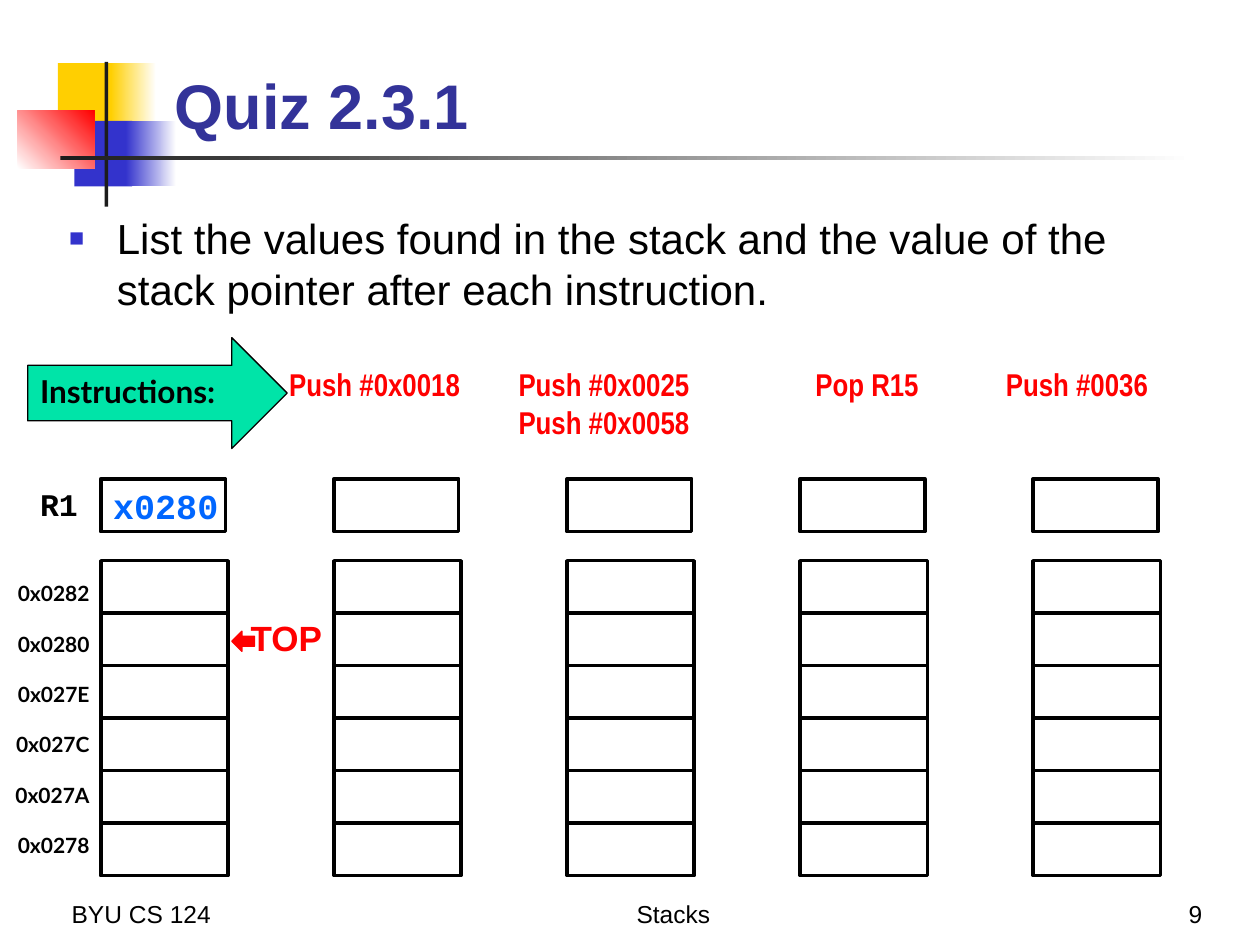
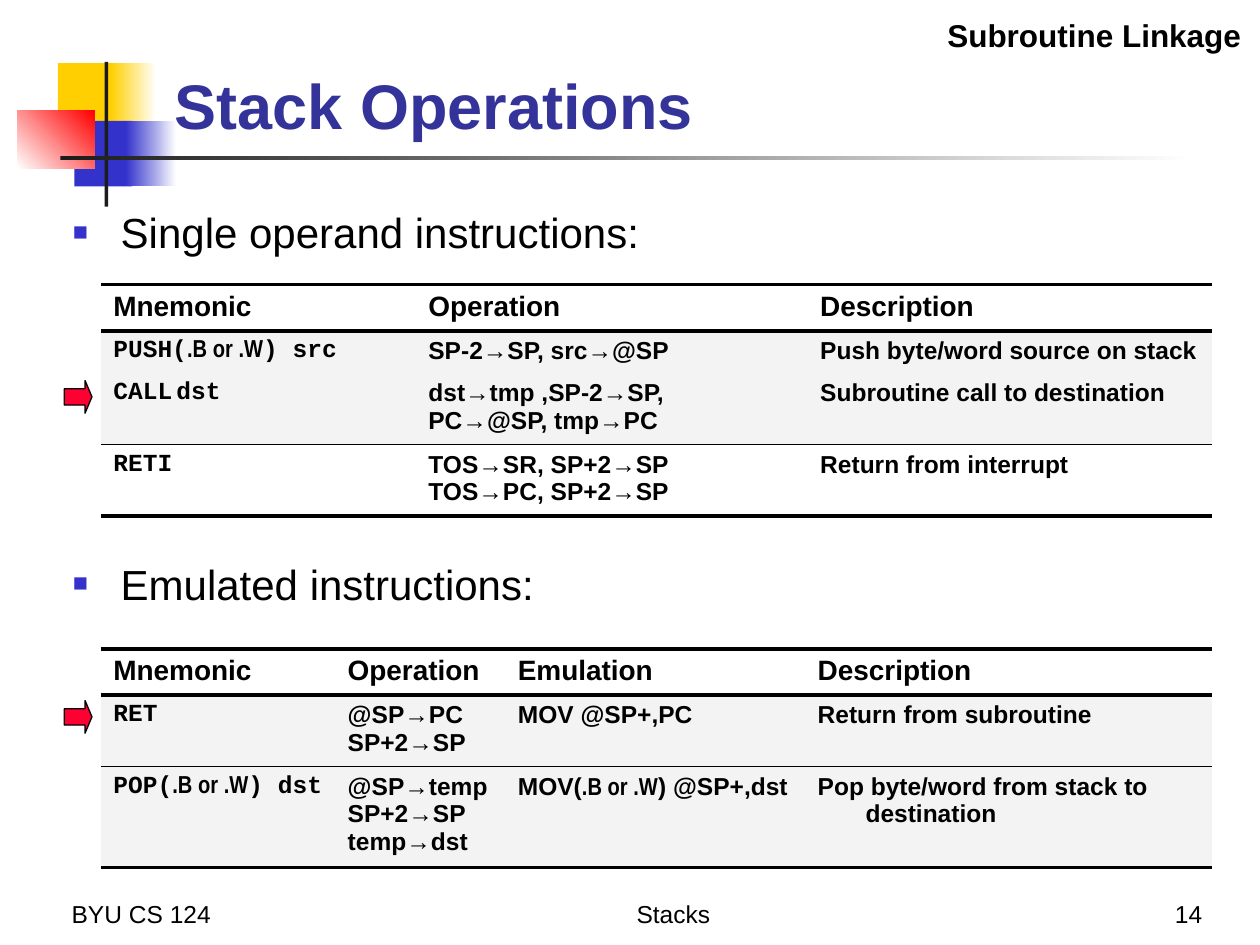
"""Build two lecture slides about stacks and stack instructions."""
from dataclasses import dataclass

from lxml.etree import SubElement
from pptx import Presentation
from pptx.dml.color import RGBColor
from pptx.enum.shapes import MSO_SHAPE as Shape
from pptx.enum.text import MSO_ANCHOR as Anchor, PP_ALIGN as Align
from pptx.oxml import parse_xml
from pptx.oxml.ns import nsdecls, qn
from pptx.util import Inches, Pt


@dataclass(frozen=True)
class Theme:
    sans: str = "Arial"
    narrow: str = "Arial Narrow"
    mono: str = "Courier New"
    label: str = "Lato"
    black: str = "000000"
    white: str = "FFFFFF"
    ink: str = "1C1C1C"
    title: str = "333399"
    blue: str = "3333CC"
    yellow: str = "FFCF01"
    red: str = "FF0000"
    pointer: str = "FF0033"
    value: str = "0066FF"
    green: str = "00E4A8"
    shade: str = "F3F3F3"
    title_size: int = 36
    body_size: int = 24
    value_size: int = 20
    label_size: int = 18
    header_size: int = 16
    small_size: int = 14
    address_size: int = 12


THEME = Theme()
SIZE_OPTION = ".B or .W"
HANG = 0.38


def rgb(color):
    return RGBColor.from_string(color)


def write(frame, text, size=THEME.label_size, font=THEME.sans, color=THEME.black,
          bold=False, align=Align.LEFT, gap=0, hang=0, bullet=False, tab=None):
    for index, line in enumerate(text.split("\n")):
        paragraph = frame.add_paragraph() if index else frame.paragraphs[0]
        paragraph.alignment = align
        if index and gap:
            paragraph.space_before = Pt(gap)
        properties = paragraph._p.get_or_add_pPr()
        properties.set("marL", str(Inches(hang)))
        properties.set("indent", str(-Inches(hang)))
        if bullet:
            color_element = SubElement(properties, qn("a:buClr"))
            SubElement(color_element, qn("a:srgbClr"), val=THEME.blue)
            SubElement(properties, qn("a:buSzPct"), val="60000")
            SubElement(properties, qn("a:buFont"), typeface=THEME.sans)
            SubElement(properties, qn("a:buChar"), char="■")
        if tab:
            tabs = SubElement(properties, qn("a:tabLst"))
            SubElement(tabs, qn("a:tab"), pos=str(Inches(tab)), algn="l")
        for segment in filter(None, line.partition(SIZE_OPTION)):
            run = paragraph.add_run()
            run.text = segment
            run.font.name = THEME.narrow if segment == SIZE_OPTION else font
            run.font.size = Pt(size)
            run.font.bold = bold
            run.font.color.rgb = rgb(color)


class Deck:
    """Hold the presentation, its style and the current slide."""

    def __init__(self):
        self.presentation = Presentation()
        self.presentation.slide_width = Inches(10)
        self.presentation.slide_height = Inches(7.5)
        self.slide = None

    def new_slide(self, title, number):
        self.slide = self.presentation.slides.add_slide(
            self.presentation.slide_layouts[6])
        self.shape(0.46, 0.5, 0.48, 0.52, fill=THEME.yellow)
        self.gradient(0.88, 0.5, 0.36, 0.52, THEME.yellow, THEME.white)
        self.shape(0.59, 0.96, 0.46, 0.52, fill=THEME.blue)
        self.gradient(1, 0.96, 0.4, 0.52, THEME.blue, THEME.white)
        self.gradient(0.14, 0.88, 0.61, 0.46, THEME.white, THEME.red, angle=45)
        self.shape(0.83, 0.49, 0.03, 1.15, fill=THEME.ink)
        self.gradient(0.48, 1.24, 9, 0.03, THEME.ink, THEME.white)
        footers = ((0.47, 2.08, "BYU CS 124", Align.LEFT),
                   (2.78, 5.13, "Stacks", Align.CENTER),
                   (7.56, 2.08, str(number), Align.RIGHT))
        for left, width, text, align in footers:
            self.text(left, 6.92, width, 0.5, text, anchor=Anchor.BOTTOM,
                      size=THEME.small_size, align=align)
        self.text(1.29, 0.23, 8.52, 0.95, title, anchor=Anchor.BOTTOM,
                  size=THEME.title_size, color=THEME.title, bold=True)

    def shape(self, left, top, width, height, kind=Shape.RECTANGLE,
              fill=None, line=None, line_width=0.75):
        shape = self.slide.shapes.add_shape(
            kind, Inches(left), Inches(top), Inches(width), Inches(height))
        shape.shadow.inherit = False
        if fill:
            shape.fill.solid()
            shape.fill.fore_color.rgb = rgb(fill)
        else:
            shape.fill.background()
        if line:
            shape.line.color.rgb = rgb(line)
            shape.line.width = Pt(line_width)
        else:
            shape.line.fill.background()
        return shape

    def gradient(self, left, top, width, height, start, end, angle=0):
        fill = self.shape(left, top, width, height).fill
        fill.gradient()
        fill.gradient_angle = angle
        for stop, color in zip(fill.gradient_stops, (start, end)):
            stop.color.rgb = rgb(color)

    def box(self, left, top, width, height):
        return self.shape(left, top, width, height, line=THEME.black, line_width=2)

    def text(self, left, top, width, height, text, anchor=Anchor.TOP,
             wrap=True, **style):
        frame = self.slide.shapes.add_textbox(
            Inches(left), Inches(top), Inches(width), Inches(height)).text_frame
        frame.word_wrap = wrap
        frame.vertical_anchor = anchor
        write(frame, text, **style)

    def bullet(self, left, top, width, height, text):
        self.text(left, top, width, height, text, size=THEME.body_size,
                  hang=HANG, bullet=True)

    def pointer(self, top):
        arrow = self.shape(0.51, top, 0.22, 0.26, Shape.RIGHT_ARROW,
                           THEME.pointer, THEME.black)
        arrow.adjustments[1] = 0.25

    def table(self, left, top, widths, heights, rows, rules, fills):
        table = self.slide.shapes.add_table(
            len(rows), len(widths), Inches(left), Inches(top),
            Inches(sum(widths)), Inches(sum(heights))).table
        table.first_row = table.horz_banding = False
        for column, width in zip(table.columns, widths):
            column.width = Inches(width)
        for row, height in zip(table.rows, heights):
            row.height = Inches(height)
        for row, texts in enumerate(rows):
            for column, text in enumerate(texts):
                cell = table.cell(row, column)
                mono = row > 0 and column == 0
                write(cell.text_frame, text, bold=True,
                      size=THEME.small_size if row else THEME.header_size,
                      font=THEME.mono if mono else THEME.sans,
                      hang=HANG if column == len(widths) - 1 else 0,
                      tab=1.4 if "\t" in text else None)
                if fills[row]:
                    cell.fill.solid()
                    cell.fill.fore_color.rgb = rgb(fills[row])
                else:
                    cell.fill.background()
                self.borders(cell, rules[row], rules[row + 1])

    @staticmethod
    def borders(cell, top, bottom):
        properties = cell._tc.get_or_add_tcPr()
        sides = (("lnL", 0), ("lnR", 0), ("lnT", top), ("lnB", bottom))
        for index, (side, width) in enumerate(sides):
            paint = (f'<a:solidFill><a:srgbClr val="{THEME.black}"/></a:solidFill>'
                     if width else "<a:noFill/>")
            properties.insert(index, parse_xml(
                f'<a:{side} {nsdecls("a")} w="{Pt(width)}">{paint}</a:{side}>'))


def build_quiz(deck):
    deck.new_slide("Quiz 2.3.1", 9)
    deck.bullet(0.45, 1.64, 9.14, 1.2, "List the values found in the stack and "
                "the value of the stack pointer after each instruction.")

    instructions = ("Push #0x0018", "Push #0x0025\nPush #0x0058", "Pop R15", "Push #0036")
    for index, instruction in enumerate(instructions):
        deck.text(2.12 + 1.82 * index, 2.85, 1.63, 0.4, instruction,
                  font=THEME.narrow, color=THEME.red, bold=True, align=Align.RIGHT)

    addresses = ("0x0282", "0x0280", "0x027E", "0x027C", "0x027A", "0x0278")
    deck.text(-0.09, 4.56, 0.9, 2.32, "\n".join(addresses), font=THEME.label,
              size=THEME.address_size, bold=True, align=Align.RIGHT, gap=14.4)

    cell_height = 2.5 / len(addresses)
    registers = []
    for stack in range(len(instructions) + 1):
        left = 0.8 + 1.85 * stack
        registers.append(deck.box(left, 3.8, 0.99, 0.42))
        for row in range(len(addresses)):
            deck.box(left, 4.45 + cell_height * row, 1.01, cell_height)

    frame = registers[0].text_frame
    frame.word_wrap = False
    frame.vertical_anchor = Anchor.MIDDLE
    write(frame, "x0280", size=THEME.value_size, font=THEME.mono,
          color=THEME.value, bold=True)
    deck.text(0.22, 3.8, 0.5, 0.4, "R1", wrap=False, font=THEME.mono, bold=True)
    deck.text(1.89, 4.84, 0.77, 0.44, "TOP", wrap=False,
              size=THEME.value_size, color=THEME.red, bold=True)
    deck.shape(1.84, 5.01, 0.18, 0.16, Shape.LEFT_ARROW, THEME.red, THEME.red)
    deck.shape(0.22, 2.68, 2.06, 0.88, Shape.RIGHT_ARROW, THEME.green, THEME.black)
    deck.text(0.22, 2.9, 2.06, 0.4, "Instructions:", font=THEME.label, bold=True)


def build_operations(deck):
    deck.new_slide("Stack Operations", 14)
    deck.bullet(0.48, 1.59, 8.45, 0.5, "Single operand instructions:")
    deck.bullet(0.48, 4.38, 8.45, 0.5, "Emulated instructions:")

    single_operand = (
        ("Mnemonic", "Operation", "Description"),
        ("PUSH(.B or .W) src", "SP-2→SP, src→@SP", "Push byte/word source on stack"),
        ("CALL\tdst", "dst→tmp ,SP-2→SP,\nPC→@SP, tmp→PC",
         "Subroutine call to destination"),
        ("RETI", "TOS→SR, SP+2→SP\nTOS→PC, SP+2→SP", "Return from interrupt"))
    deck.table(0.8, 2.26, (2.5, 3.11, 3.21), (0.35, 0.32, 0.54, 0.54),
               single_operand, rules=(2, 2, 0, 1, 2),
               fills=(None, THEME.shade, THEME.shade, THEME.white))
    deck.pointer(3.02)

    emulated = (
        ("Mnemonic", "Operation", "Emulation", "Description"),
        ("RET", "@SP→PC\nSP+2→SP", "MOV @SP+,PC", "Return from subroutine"),
        ("POP(.B or .W) dst", "@SP→temp\nSP+2→SP\ntemp→dst",
         "MOV(.B or .W) @SP+,dst", "Pop byte/word from stack to destination"))
    deck.table(0.8, 5.15, (1.86, 1.35, 2.38, 3.23), (0.35, 0.55, 0.76),
               emulated, rules=(2.25, 2.25, 1, 2),
               fills=(None, THEME.shade, THEME.shade))
    deck.pointer(5.56)
    deck.text(5.93, 0.08, 4.02, 0.4, "Subroutine Linkage", bold=True, align=Align.RIGHT)


def main():
    deck = Deck()
    build_quiz(deck)
    build_operations(deck)
    deck.presentation.save("out.pptx")


if __name__ == "__main__":
    main()
